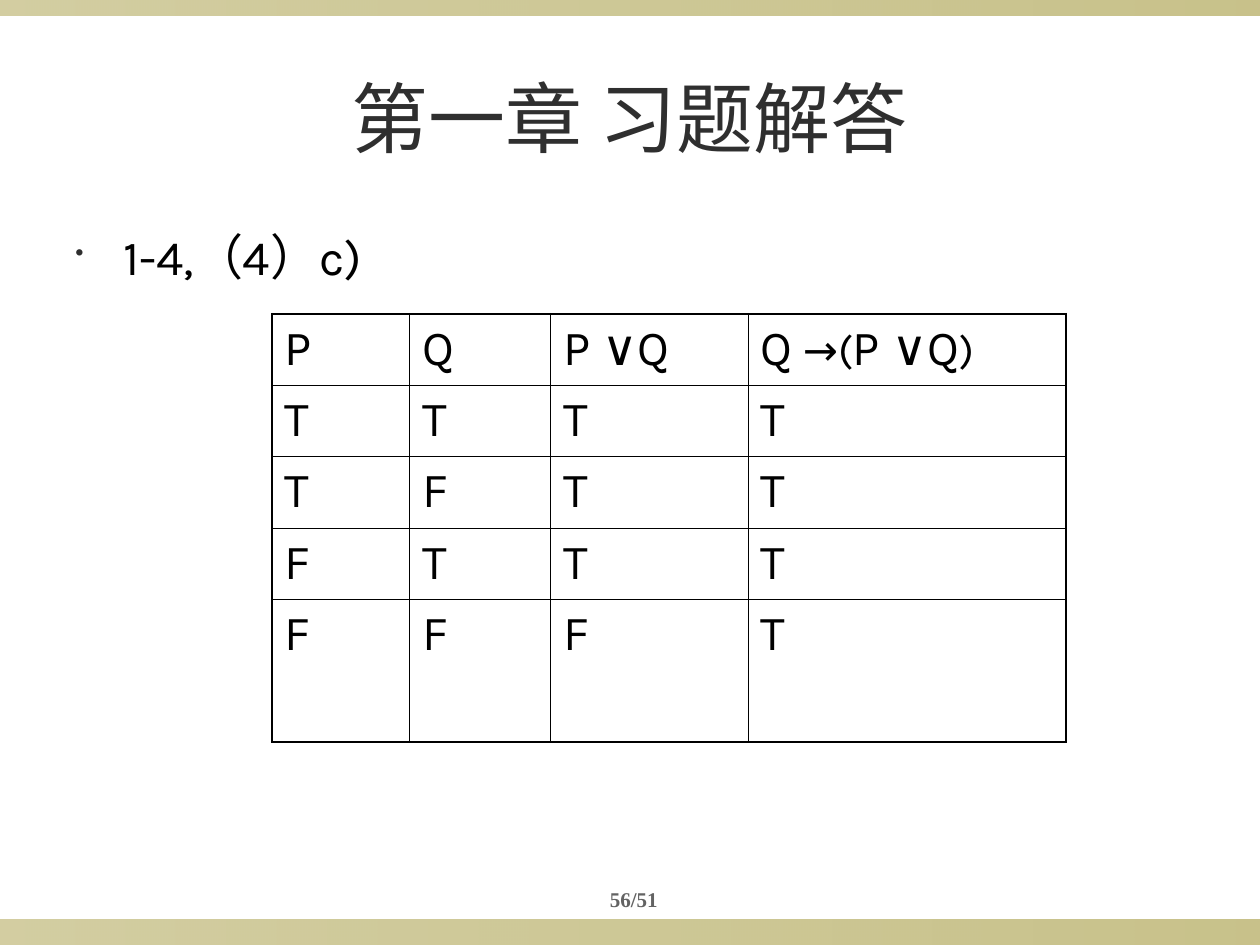
from dataclasses import dataclass

from lxml.etree import SubElement
from pptx import Presentation
from pptx.dml.color import RGBColor
from pptx.enum.shapes import MSO_SHAPE
from pptx.enum.text import MSO_ANCHOR, PP_ALIGN
from pptx.oxml.ns import qn
from pptx.util import Inches, Pt


@dataclass(frozen=True)
class Theme:
    heading: str = "2F2F2F"
    ink: str = "000000"
    muted: str = "636363"
    band: str = "918415"
    font: str = "Karla"
    footer_font: str = "Times New Roman"
    title_size: int = 44
    text_size: int = 28
    symbol_size: int = 24
    footer_size: int = 12
    inner_line: float = 0.45
    outer_line: float = 1.08


class SlideBuilder:
    """Places elements on a grid of 100 columns by 75 rows."""

    columns, rows = 100, 75

    def __init__(self, deck, theme):
        self.theme = theme
        self.column = deck.slide_width / self.columns
        self.row = deck.slide_height / self.rows
        self.page = deck.slides.add_slide(deck.slide_layouts[6])

    def place(self, left, top, width, height):
        return (round(left * self.column), round(top * self.row),
                round(width * self.column), round(height * self.row))

    def style(self, font, size, color, name=None, bold=False):
        font.name = name or self.theme.font
        font.size = Pt(size)
        font.bold = bold
        font.color.rgb = RGBColor.from_string(color)

    def band(self, top, height):
        shape = self.page.shapes.add_shape(
            MSO_SHAPE.RECTANGLE, *self.place(0, top, self.columns, height))
        shape.shadow.inherit = False
        shape.line.fill.background()
        shape.fill.gradient()
        shape.fill.gradient_angle = 0
        for stop in shape.fill.gradient_stops:
            stop.color.rgb = RGBColor.from_string(self.theme.band)
        colors = shape.fill._xPr.iter(qn("a:srgbClr"))
        for color, opacity in zip(colors, (40, 50)):
            SubElement(color, qn("a:alpha"), val=str(opacity * 1000))

    def text(self, at, words, size, color, name=None, bold=False,
             align=PP_ALIGN.CENTER, anchor=MSO_ANCHOR.MIDDLE, bullet=False):
        box = self.page.shapes.add_textbox(*self.place(*at))
        frame = box.text_frame
        frame.word_wrap = True
        frame.vertical_anchor = anchor
        para = frame.paragraphs[0]
        para.text = words
        para.alignment = align
        if bullet:
            self.add_bullet(para)
        self.style(para.font, size, color, name, bold)

    def add_bullet(self, para):
        properties = para._p.get_or_add_pPr()
        indent = Inches(0.38)
        properties.set("marL", str(indent))
        properties.set("indent", str(-indent))
        color = SubElement(properties, qn("a:buClr"))
        SubElement(color, qn("a:srgbClr"), val=self.theme.heading)
        SubElement(properties, qn("a:buSzPct"), val="50000")
        SubElement(properties, qn("a:buChar"), char="•")

    def table(self, left, top, widths, heights, content):
        """Each cell is a list of (words, size) runs."""
        frame = self.page.shapes.add_table(
            len(heights), len(widths),
            *self.place(left, top, sum(widths), sum(heights)))
        table = frame.table
        table.first_row = table.horz_banding = False
        for column, width in zip(table.columns, widths):
            column.width = round(width * self.column)
        for row, height in zip(table.rows, heights):
            row.height = round(height * self.row)
        last_row, last_column = len(heights) - 1, len(widths) - 1
        for r, line in enumerate(content):
            for c, runs in enumerate(line):
                cell = table.cell(r, c)
                cell.fill.background()
                para = cell.text_frame.paragraphs[0]
                for words, size in runs:
                    span = para.add_run()
                    span.text = words
                    self.style(span.font, size, self.theme.ink)
                self.cell_borders(cell, {"lnL": c == 0, "lnR": c == last_column,
                                         "lnT": r == 0, "lnB": r == last_row})

    def cell_borders(self, cell, outer_sides):
        properties = cell._tc.get_or_add_tcPr()
        for position, (side, outer) in enumerate(outer_sides.items()):
            width = self.theme.outer_line if outer else self.theme.inner_line
            line = SubElement(properties, qn(f"a:{side}"), w=str(Pt(width)))
            fill = SubElement(line, qn("a:solidFill"))
            SubElement(fill, qn("a:srgbClr"), val=self.theme.ink)
            properties.insert(position, line)


def main():
    deck = Presentation()
    deck.slide_width, deck.slide_height = Inches(10), Inches(7.5)
    theme = Theme()
    slide = SlideBuilder(deck, theme)

    slide.band(73, 2)
    slide.band(0, 1.2)
    slide.text((45.3, 69.8, 10, 3.1), "56/51", theme.footer_size, theme.muted,
               theme.footer_font, bold=True)
    slide.text((5, 3, 90, 12.5), "第一章 习题解答", theme.title_size, theme.heading)
    slide.text((5, 17.5, 44.2, 51.3), "1-4,（4）c)", theme.text_size, theme.ink,
               align=PP_ALIGN.LEFT, anchor=MSO_ANCHOR.TOP, bullet=True)

    normal, small = theme.text_size, theme.symbol_size
    header = [[("P", normal)], [("Q", normal)], [("P ∨Q", normal)],
              [("Q", normal), (" →(", small), ("P ∨Q", normal), (")", small)]]
    truth_rows = [[[(value, normal)] for value in values]
                  for values in ("TTTT", "TFTT", "FTTT", "FFFT")]
    slide.table(21.6, 24.9, (10.9, 11.2, 15.7, 25.2), [5.66] * 4 + [11.3],
                [header] + truth_rows)

    deck.save("out.pptx")


if __name__ == "__main__":
    main()
